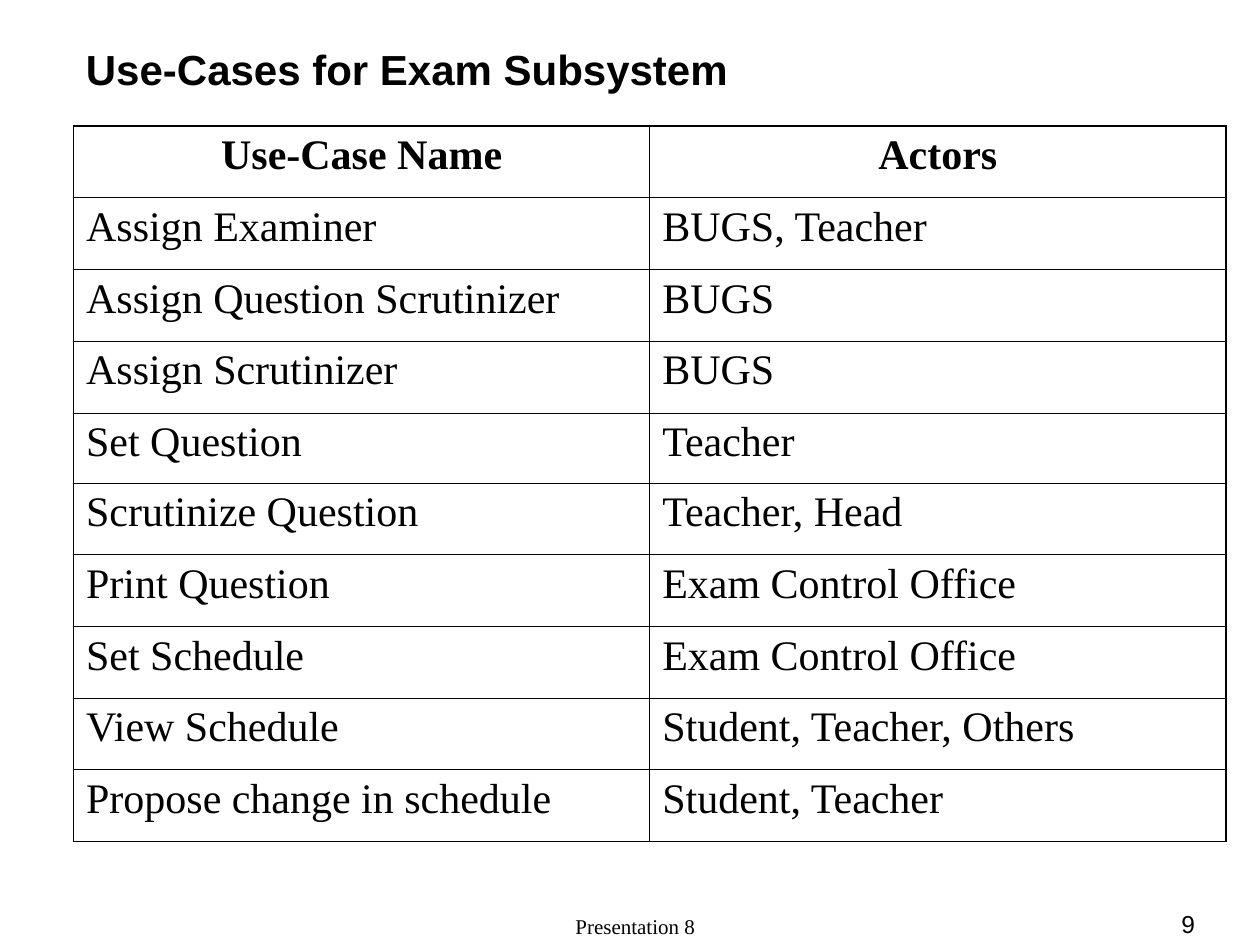
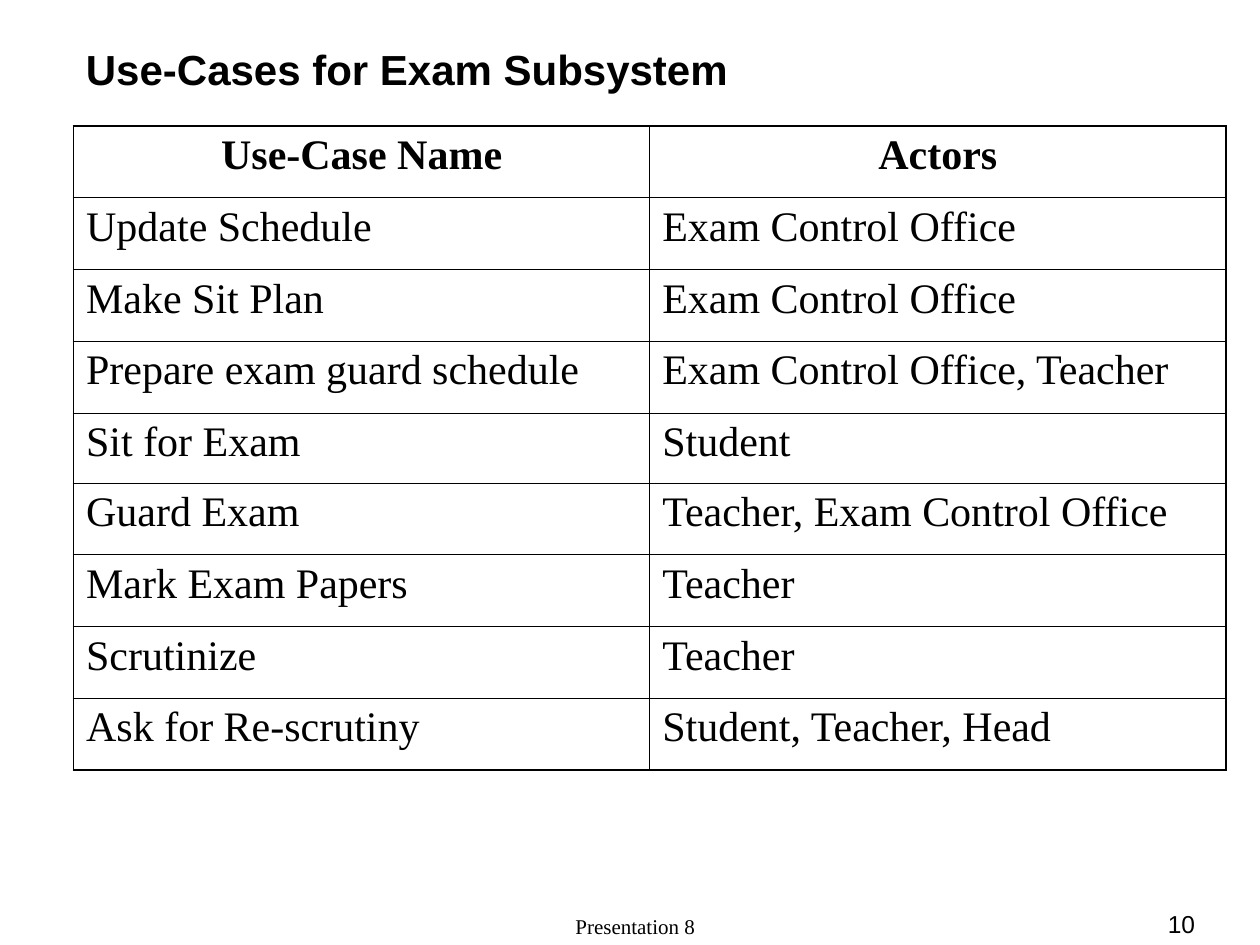
from lxml import etree
from pptx import Presentation
from pptx.dml.color import RGBColor
from pptx.enum.text import MSO_ANCHOR as ANCHOR, PP_ALIGN as ALIGN
from pptx.oxml.ns import qn
from pptx.util import Pt

BLACK = RGBColor(0x00, 0x00, 0x00)
SANS, SERIF = "Arial", "Times New Roman"
OUTER_LINE, INNER_LINE = Pt(1.08), Pt(0.45)
COLUMN_WIDTH = Pt(329.3)
ROW_HEIGHT, SHORT_ROW_HEIGHT = Pt(41), Pt(40)
SHORT_ROW = 4

TITLE = "Use-Cases for Exam Subsystem"
FOOTER = "Presentation 8"
HEADINGS = ("Use-Case Name", "Actors")
FIRST_PAGE = 9
USE_CASES = [
    [
        ("Assign Examiner", "BUGS, Teacher"),
        ("Assign Question Scrutinizer", "BUGS"),
        ("Assign Scrutinizer", "BUGS"),
        ("Set Question", "Teacher"),
        ("Scrutinize Question", "Teacher, Head"),
        ("Print Question", "Exam Control Office"),
        ("Set Schedule", "Exam Control Office"),
        ("View Schedule", "Student, Teacher, Others"),
        ("Propose change in schedule", "Student, Teacher"),
    ],
    [
        ("Update Schedule", "Exam Control Office"),
        ("Make Sit Plan", "Exam Control Office"),
        ("Prepare exam guard schedule", "Exam Control Office, Teacher"),
        ("Sit for Exam", "Student"),
        ("Guard Exam", "Teacher, Exam Control Office"),
        ("Mark Exam Papers", "Teacher"),
        ("Scrutinize", "Teacher"),
        ("Ask for Re-scrutiny", "Student, Teacher, Head"),
    ],
]


def write(frame, text, font_name, size, align=ALIGN.LEFT, bold=False):
    """Fill a text frame with one formatted paragraph."""
    frame.word_wrap = True
    paragraph = frame.paragraphs[0]
    paragraph.text = text
    paragraph.alignment = align
    font = paragraph.runs[0].font
    font.name, font.size, font.bold = font_name, Pt(size), bold
    font.color.rgb = BLACK


def set_borders(cell, widths):
    """Draw the cell's left, right, top and bottom lines, in that order."""
    properties = cell._tc.get_or_add_tcPr()
    for position, (side, width) in enumerate(zip("LRTB", widths)):
        line = etree.Element(qn(f"a:ln{side}"), w=str(width))
        fill = etree.SubElement(line, qn("a:solidFill"))
        etree.SubElement(fill, qn("a:srgbClr"), val=str(BLACK))
        properties.insert(position, line)


deck = Presentation()
deck.slide_width, deck.slide_height = Pt(720), Pt(540)
blank = deck.slide_layouts[6]

for page, use_cases in enumerate(USE_CASES, start=FIRST_PAGE):
    slide = deck.slides.add_slide(blank)

    footer = slide.shapes.add_textbox(Pt(246), Pt(522), Pt(234), Pt(18)).text_frame
    footer.vertical_anchor = ANCHOR.BOTTOM
    write(footer, FOOTER, SERIF, 12, ALIGN.CENTER)

    page_number = slide.shapes.add_textbox(Pt(606), Pt(522), Pt(84), Pt(18)).text_frame
    page_number.vertical_anchor = ANCHOR.BOTTOM
    write(page_number, str(page), SANS, 14, ALIGN.RIGHT)

    title = slide.shapes.add_textbox(Pt(42), Pt(18), Pt(678), Pt(42)).text_frame
    title.vertical_anchor = ANCHOR.MIDDLE
    write(title, TITLE, SANS, 24, bold=True)

    rows = [HEADINGS, *use_cases]
    last_row, last_column = len(rows) - 1, len(HEADINGS) - 1
    table = slide.shapes.add_table(
        len(rows), len(HEADINGS), Pt(42), Pt(72),
        COLUMN_WIDTH * len(HEADINGS),
        ROW_HEIGHT * last_row + SHORT_ROW_HEIGHT).table
    table.first_row = table.horz_banding = False
    for column in table.columns:
        column.width = COLUMN_WIDTH

    for r, row in enumerate(rows):
        table.rows[r].height = SHORT_ROW_HEIGHT if r == SHORT_ROW else ROW_HEIGHT
        is_heading = r == 0
        for c, text in enumerate(row):
            cell = table.cell(r, c)
            cell.fill.background()
            write(cell.text_frame, text, SERIF, 24,
                  ALIGN.CENTER if is_heading else ALIGN.LEFT, is_heading)
            on_edge = (c == 0, c == last_column, r == 0, r == last_row)
            set_borders(cell, [OUTER_LINE if edge else INNER_LINE for edge in on_edge])

deck.save("out.pptx")
